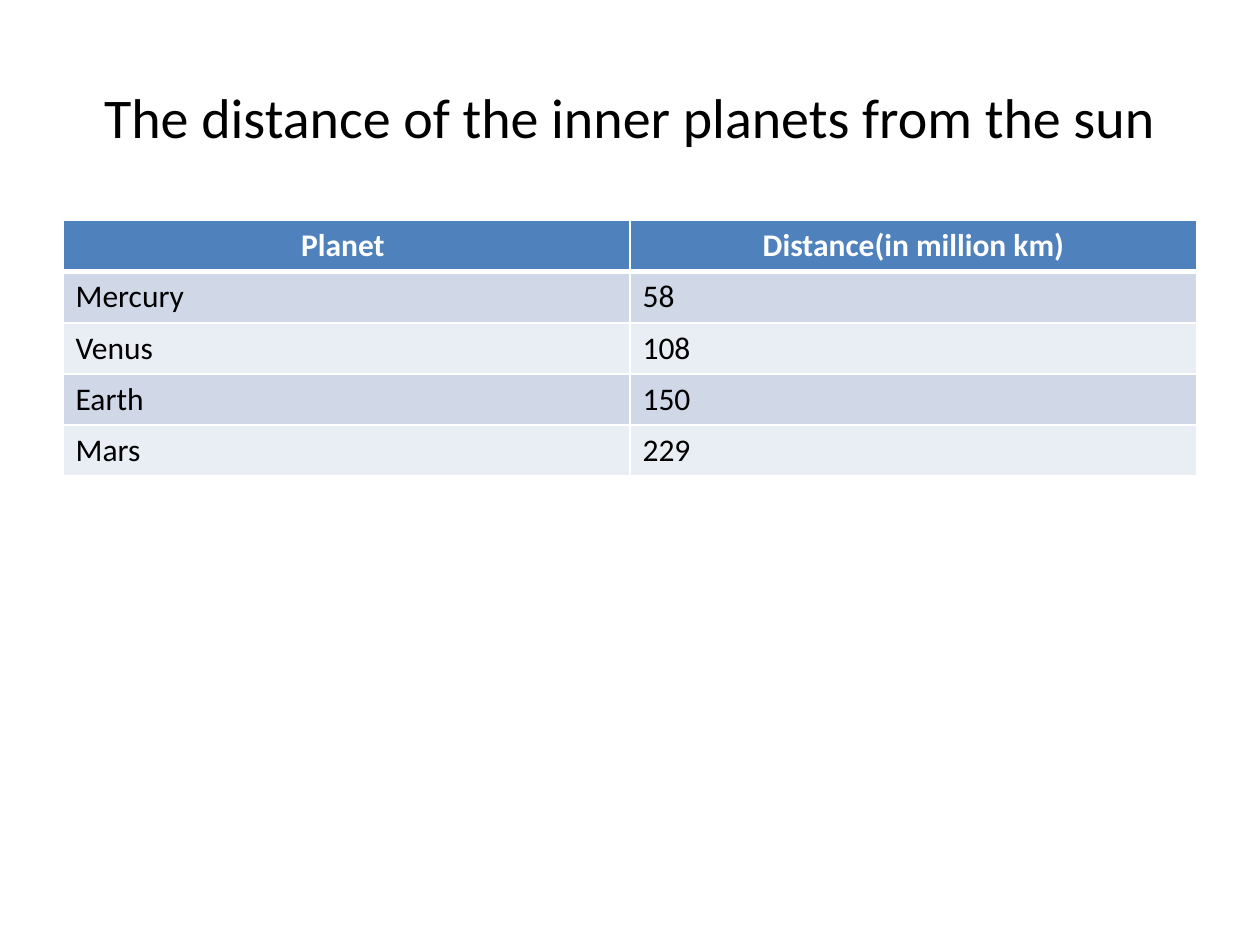
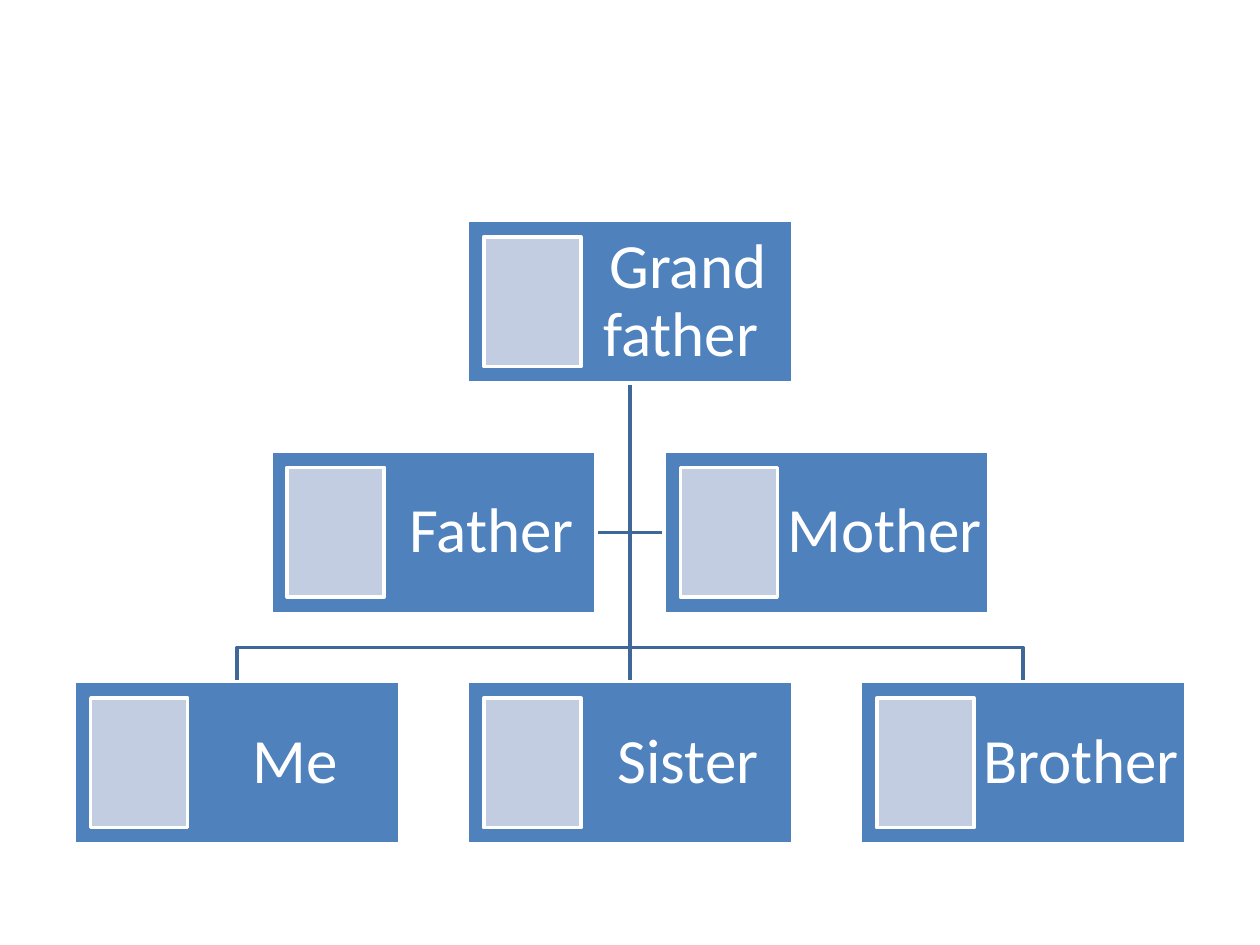
import dataclasses

import lxml.etree
import pptx
import pptx.dml.color
import pptx.enum.shapes
import pptx.enum.text
import pptx.oxml.ns
import pptx.util

Inches = pptx.util.Inches
Pt = pptx.util.Pt
ALIGN = pptx.enum.text.PP_ALIGN
MIDDLE = pptx.enum.text.MSO_ANCHOR.MIDDLE


@dataclasses.dataclass(frozen=True)
class Theme:
    """Colours, font and type sizes shared by all slides."""
    font: str = "Calibri"
    white: str = "FFFFFF"
    black: str = "000000"
    accent: str = "4F81BD"
    connector: str = "3F6797"
    portrait: str = "C2CDE1"
    bands: tuple = ("D0D8E8", "E9EDF4")
    title_size: int = 32
    table_size: int = 18
    member_size: int = 36
    line_width: int = 2


def colour(value):
    """Turn a hexadecimal string into a colour."""
    return pptx.dml.color.RGBColor.from_string(value)


class Deck:
    """Holds the presentation, its theme and the current slide."""

    def __init__(self, theme):
        """Start a presentation of 10 by 7.5 inches."""
        self.theme = theme
        self.presentation = pptx.Presentation()
        self.presentation.slide_width = Inches(10)
        self.presentation.slide_height = Inches(7.5)
        self.slide = None

    def add_slide(self):
        """Add a blank slide with a white background."""
        self.slide = self.presentation.slides.add_slide(self.presentation.slide_layouts[6])
        fill = self.slide.background.fill
        fill.solid()
        fill.fore_color.rgb = colour(self.theme.white)

    def add_text(self, frame, text, size, text_colour, align=ALIGN.CENTER, bold=False):
        """Put one run into the first paragraph of a frame."""
        frame.word_wrap = True
        paragraph = frame.paragraphs[0]
        paragraph.alignment = align
        run = paragraph.add_run()
        run.text = text
        run.font.name = self.theme.font
        run.font.size = Pt(size)
        run.font.bold = bold
        run.font.color.rgb = colour(text_colour)
        return paragraph

    def title(self, text):
        """Add the slide title."""
        box = self.slide.shapes.add_textbox(Inches(0.5), Inches(0.3), Inches(9), Inches(1.25))
        box.text_frame.vertical_anchor = MIDDLE
        self.add_text(box.text_frame, text, self.theme.title_size, self.theme.black)

    def borders(self, cell, top, bottom):
        """Give a cell white borders; top and bottom widths are in points."""
        properties = cell._tc.get_or_add_tcPr()
        for side, width in (("L", 1), ("R", 1), ("T", top), ("B", bottom)):
            line = lxml.etree.SubElement(
                properties, pptx.oxml.ns.qn(f"a:ln{side}"), w=str(Pt(width)))
            fill = lxml.etree.SubElement(line, pptx.oxml.ns.qn("a:solidFill"))
            lxml.etree.SubElement(fill, pptx.oxml.ns.qn("a:srgbClr"), val=self.theme.white)

    def table(self, rows, left, top, width, height):
        """Add a banded table whose first row is the header."""
        frame = self.slide.shapes.add_table(
            len(rows), len(rows[0]), Inches(left), Inches(top), Inches(width), Inches(height))
        for row, values in enumerate(rows):
            header = row == 0
            for column, value in enumerate(values):
                cell = frame.table.cell(row, column)
                self.borders(cell, 3 if row == 1 else 1, 3 if header else 1)
                cell.fill.solid()
                cell.fill.fore_color.rgb = colour(
                    self.theme.accent if header else self.theme.bands[(row - 1) % 2])
                self.add_text(cell.text_frame, value, self.theme.table_size,
                              self.theme.white if header else self.theme.black,
                              ALIGN.CENTER if header else ALIGN.LEFT, header)

    def branch(self, *points):
        """Draw an open line through points given in inches."""
        start, *others = [(Inches(x), Inches(y)) for x, y in points]
        builder = self.slide.shapes.build_freeform(*start)
        builder.add_line_segments(others, close=False)
        shape = builder.convert_to_shape()
        shape.shadow.inherit = False
        shape.fill.background()
        shape.line.color.rgb = colour(self.theme.connector)
        shape.line.width = Pt(self.theme.line_width)

    def rectangle(self, left, top, width, height, fill_colour):
        """Add a filled rectangle with a white outline."""
        shape = self.slide.shapes.add_shape(
            pptx.enum.shapes.MSO_SHAPE.RECTANGLE,
            Inches(left), Inches(top), Inches(width), Inches(height))
        shape.shadow.inherit = False
        shape.fill.solid()
        shape.fill.fore_color.rgb = colour(fill_colour)
        shape.line.color.rgb = colour(self.theme.white)
        shape.line.width = Pt(self.theme.line_width)
        return shape

    def member(self, name, center, top, width, height):
        """Add a family member: a named box with a portrait frame."""
        left, margin = center - width / 2, 0.13
        frame = self.rectangle(left, top, width, height, self.theme.accent).text_frame
        frame.margin_left = Inches(0.95)
        frame.margin_right = frame.margin_top = frame.margin_bottom = Inches(0.03)
        frame.vertical_anchor = MIDDLE
        paragraph = self.add_text(frame, name, self.theme.member_size, self.theme.white)
        paragraph.line_spacing = 0.9
        self.rectangle(left + margin, top + margin, 0.77, height - 2 * margin,
                       self.theme.portrait)


def planet_slide(deck):
    """Build the table of planet distances."""
    deck.add_slide()
    deck.title("The distance of the inner planets from the sun")
    deck.table([("Planet ", "Distance(in million km)"),
                ("Mercury", "58"), ("Venus", "108"), ("Earth", "150"), ("Mars", "229")],
               left=0.5, top=1.75, width=9, height=2.03)


def family_slide(deck):
    """Build the family tree of three generations."""
    deck.add_slide()
    middle, spacing = 5, 3.12
    width, height = 2.58, 1.29
    elder_top, parent_top, child_top = (1.75 + 1.83 * level for level in range(3))
    root = (middle, elder_top + height)
    parent_middle = parent_top + height / 2
    fork = child_top - 0.27

    for side in (1, -1):
        parent_edge = middle + side * (spacing - width) / 2
        deck.branch(root, (middle, parent_middle), (parent_edge, parent_middle))
        child = middle + side * spacing
        deck.branch(root, (middle, fork), (child, fork), (child, child_top))
    deck.branch(root, (middle, child_top))

    generations = [(elder_top, ["Grand father "]),
                   (parent_top, ["Father", "Mother"]),
                   (child_top, ["Me", "Sister", "Brother"])]
    for top, names in generations:
        for index, name in enumerate(names):
            center = middle + (index - (len(names) - 1) / 2) * spacing
            deck.member(name, center, top, width, height)


def main():
    """Build both slides and save them."""
    deck = Deck(Theme())
    planet_slide(deck)
    family_slide(deck)
    deck.presentation.save("out.pptx")


main()
